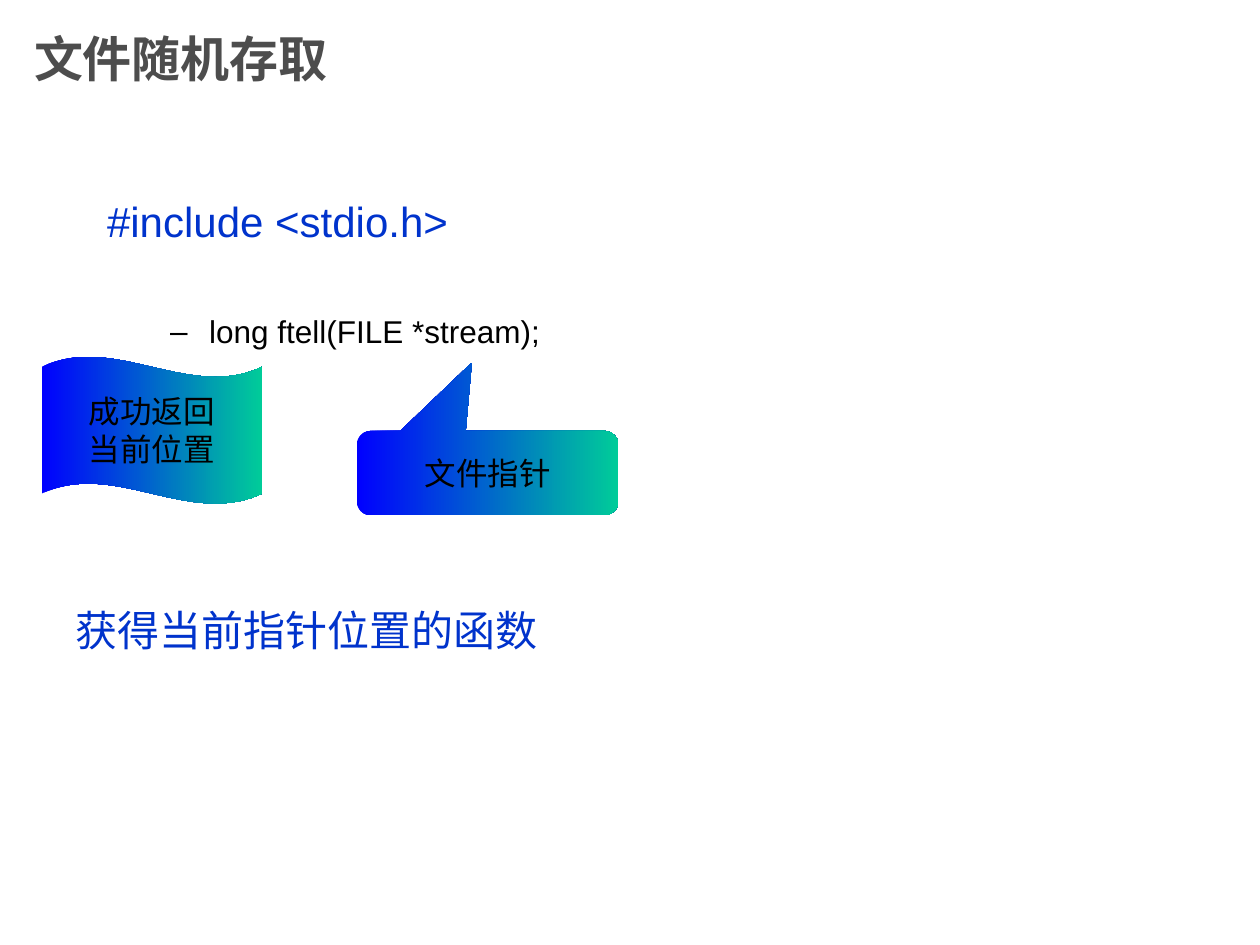
from dataclasses import dataclass

from lxml import etree
from pptx import Presentation
from pptx.dml.color import RGBColor
from pptx.enum.shapes import MSO_SHAPE
from pptx.enum.text import MSO_ANCHOR, MSO_AUTO_SIZE, PP_ALIGN
from pptx.oxml.ns import qn
from pptx.util import Inches, Pt

WAVE = MSO_SHAPE.WAVE
CALLOUT = MSO_SHAPE.ROUNDED_RECTANGULAR_CALLOUT
LEFT, CENTER = PP_ALIGN.LEFT, PP_ALIGN.CENTER
TOP, MIDDLE = MSO_ANCHOR.TOP, MSO_ANCHOR.MIDDLE
NO_AUTOFIT = MSO_AUTO_SIZE.NONE


@dataclass(frozen=True)
class Theme:
    font: str = "Arial"
    title_color: RGBColor = RGBColor(0x4D, 0x4D, 0x4D)
    heading_color: RGBColor = RGBColor(0x00, 0x33, 0xCC)
    text_color: RGBColor = RGBColor(0x00, 0x00, 0x00)
    gradient: tuple = (RGBColor(0x00, 0x00, 0xFF), RGBColor(0x00, 0xCC, 0x99))
    title_size: int = 28
    heading_size: int = 24
    text_size: int = 18


THEME = Theme()


def place(shape, box):
    """Move a shape to a (left, top, width, height) box in inches."""
    shape.left, shape.top, shape.width, shape.height = map(Inches, box)


def set_frame(frame, anchor, wrap=True):
    frame.auto_size = NO_AUTOFIT
    frame.word_wrap = wrap
    frame.vertical_anchor = anchor
    frame.margin_left = frame.margin_right = Inches(0.1)
    frame.margin_top = frame.margin_bottom = Inches(0.05)


def add_span(para, text, size, color, bold=False):
    span = para.add_run()
    span.text = text
    span.font.name = THEME.font
    span.font.size = Pt(size)
    span.font.bold = bold
    span.font.color.rgb = color


def set_indent(para, margin, hanging, bullet=None):
    """Hang the first line, with a bullet character or none."""
    props = para._p.get_or_add_pPr()
    props.set("marL", str(Inches(margin)))
    props.set("indent", str(-Inches(hanging)))
    if bullet:
        etree.SubElement(props, qn("a:buChar")).set("char", bullet)
    else:
        etree.SubElement(props, qn("a:buNone"))


def add_heading(para, text):
    set_indent(para, 0.38, 0.38)
    para.alignment = LEFT
    para.space_before = Pt(0)
    add_span(para, text, THEME.heading_size, THEME.heading_color)


def fill_title(page, box, text):
    title = page.shapes.title
    place(title, box)
    set_frame(title.text_frame, MIDDLE)
    para = title.text_frame.paragraphs[0]
    para.alignment = LEFT
    add_span(para, text, THEME.title_size, THEME.title_color, bold=True)


def fill_body(page, box, heading, item):
    body = page.placeholders[1]
    place(body, box)
    frame = body.text_frame
    set_frame(frame, TOP)
    add_heading(frame.paragraphs[0], heading)
    para = frame.add_paragraph()
    para.level = 1
    set_indent(para, 0.81, 0.31, "–")
    para.space_before = Pt(38)
    add_span(para, item, THEME.text_size, THEME.text_color)


def add_summary(page, box, text):
    summary = page.shapes.add_textbox(*map(Inches, box))
    set_frame(summary.text_frame, TOP)
    add_heading(summary.text_frame.paragraphs[0], text)


def add_note(page, kind, box, adjustments, lines, wrap=True):
    """Add a gradient shape with centred lines of text."""
    note = page.shapes.add_shape(kind, *map(Inches, box))
    for index, value in enumerate(adjustments):
        note.adjustments[index] = value
    note.shadow.inherit = False
    note.line.fill.background()
    note.fill.gradient()
    note.fill.gradient_angle = 0
    for stop, color in zip(note.fill.gradient_stops, THEME.gradient):
        stop.color.rgb = color
    frame = note.text_frame
    set_frame(frame, MIDDLE, wrap)
    for index, line in enumerate(lines):
        para = frame.add_paragraph() if index else frame.paragraphs[0]
        para.alignment = CENTER
        add_span(para, line, THEME.text_size, THEME.text_color)


def main():
    deck = Presentation()
    deck.slide_width, deck.slide_height = Inches(10), Inches(7.5)
    page = deck.slides.add_slide(deck.slide_layouts[1])

    # Title and function declaration
    fill_title(page, (0.17, 0, 7.5, 0.92), "文件随机存取")
    fill_body(page, (0.75, 1.5, 8.5, 5.17),
              "#include <stdio.h>", "long ftell(FILE *stream);")

    # Purpose of the function
    add_summary(page, (0.5, 4.75, 8.5, 0.67), "获得当前指针位置的函数")

    # Notes on the return value and the argument
    add_note(page, WAVE, (0.33, 2.83, 1.75, 1.17), (0.07, 0),
             ("成功返回", "当前位置"), wrap=False)
    add_note(page, CALLOUT, (2.83, 3.42, 2.08, 0.67), (-0.06, -1.31, 0.17),
             ("文件指针",))

    deck.save("out.pptx")


if __name__ == "__main__":
    main()
